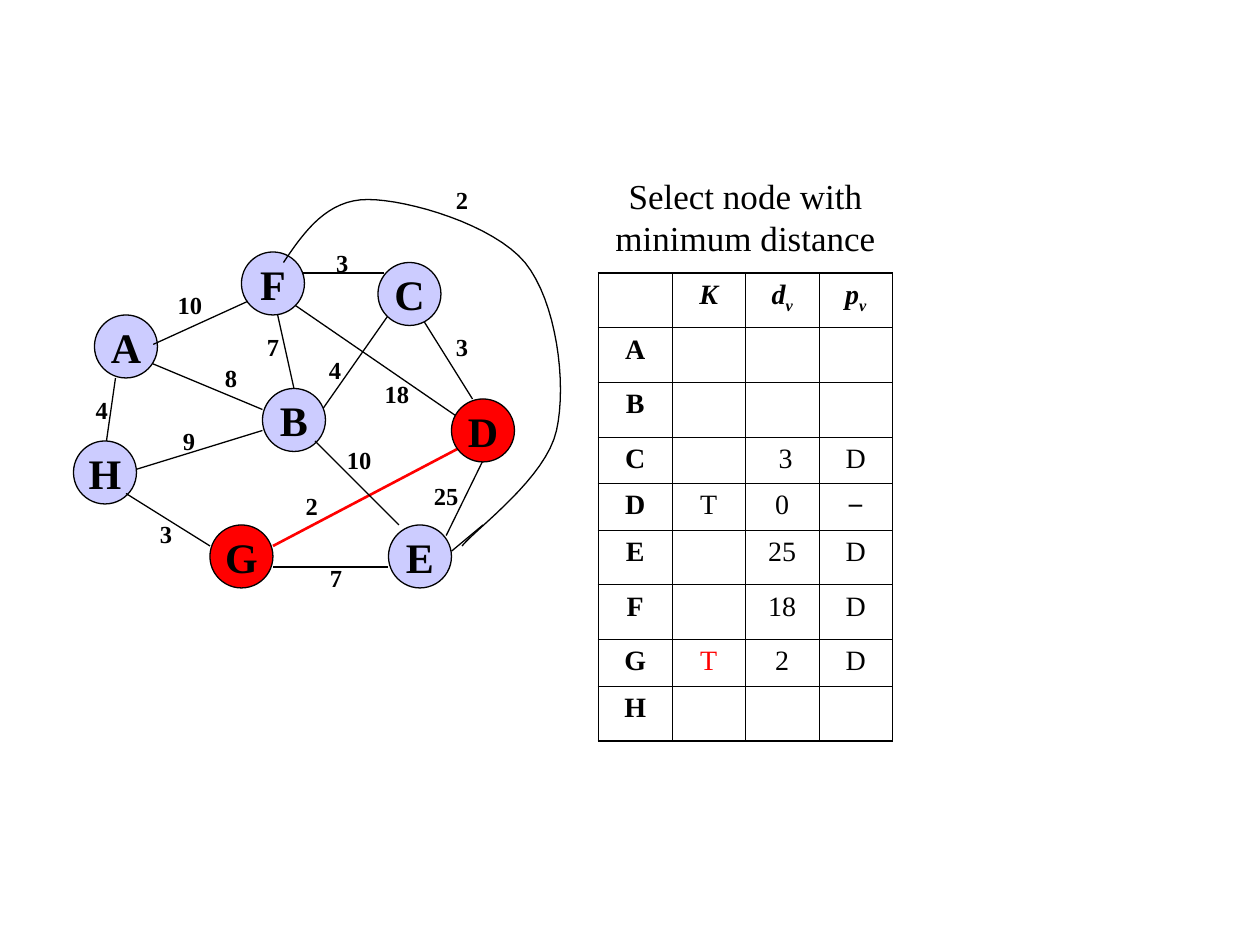
import lxml.etree
import pptx
import pptx.dml.color
import pptx.enum.shapes
import pptx.enum.text
import pptx.oxml.ns
import pptx.util

COLUMNS, ROWS = 120, 90  # slide grid, twelve cells to the inch
UNIT = pptx.util.Inches(10) // COLUMNS
FONT = "Times New Roman"
BLACK, RED, LILAC = "000000", "FF0000", "CCCCFF"
NODE_SIZE = 6

NODES = {"A": (3, 14), "H": (1, 26), "B": (19, 21), "F": (17, 8),
         "E": (31, 34), "D": (37, 22), "C": (30, 9), "G": (14, 34)}
SELECTED = "DG"
EDGES_BEHIND = [
    ((41.4, 25), (36.5, 35)), ((20, 12), (22, 21)), ((24, 24), (31, 14)),
    ((38, 24), (22, 13)), ((6, 29), (19, 25)), ((4, 27), (5, 20)),
    ((7, 18), (19, 23)), ((22.6, 10), (30.6, 10)), ((34, 14), (39, 22))]
CHOSEN_EDGE = ((20, 36), (39, 26))
EDGES_IN_FRONT = [
    ((24, 26), (32, 34)), ((31, 38), (20, 38)), ((14, 36), (6, 31)),
    ((8.6, 16.8), (17.6, 12.7)), ((40, 34), (37, 36.5))]
WEIGHTS = [
    ("4", 1.7, 21), ("25", 33.4, 29.2), ("7", 24, 37), ("2", 21.7, 30.2),
    ("10", 25.1, 25.8), ("18", 28.7, 19.5), ("3", 36, 15), ("4", 23.9, 17.2),
    ("3", 24.6, 7), ("7", 18, 15), ("8", 14, 18), ("9", 10, 24),
    ("3", 7.8, 32.8), ("10", 9, 11), ("2", 36, 1)]
ARC_START = (21, 9)
ARC_CURVES = [
    ((23, 6), (25.2, 3), (29, 3)), ((32.9, 3), (41, 5.4), (44, 9)),
    ((47, 12.7), (48, 20.5), (47, 25)), ((46, 29.5), (39.5, 34.2), (38, 36))]

HEADER = ["", "K", "dv", "pv"]
DISTANCES = [
    ["A", "", "", ""], ["B", "", "", ""], ["C", "", " 3", "D"],
    ["D", "T", "0", "−"], ["E", "", "25", "D"], ["F", "", "18", "D"],
    ["G", "T", "2", "D"], ["H", "", "", ""]]
SHORT_ROWS = (3, 4, 7)


def color(value):
    return pptx.dml.color.RGBColor.from_string(value)


def grid(*values):
    return [round(value * UNIT) for value in values]


def format_paragraph(paragraph, size, space, bold=False, italic=False,
                     font=FONT, text_color=BLACK):
    paragraph.alignment = pptx.enum.text.PP_ALIGN.CENTER
    paragraph.space_before = pptx.util.Pt(space)
    paragraph.font.name = font
    paragraph.font.size = pptx.util.Pt(size)
    paragraph.font.bold = bold
    paragraph.font.italic = italic
    paragraph.font.color.rgb = color(text_color)


def add_text(slide, text, box, size, space, bold=False):
    frame = slide.shapes.add_textbox(*grid(*box)).text_frame
    frame.word_wrap = True
    frame.text = text
    format_paragraph(frame.paragraphs[0], size, space, bold)


def add_edge(slide, box, edge, line_color=BLACK, width=0.75):
    left, top = box[:2]
    (x1, y1), (x2, y2) = edge
    connector = slide.shapes.add_connector(
        pptx.enum.shapes.MSO_CONNECTOR.STRAIGHT,
        *grid(left + x1, top + y1, left + x2, top + y2))
    connector.line.color.rgb = color(line_color)
    connector.line.width = pptx.util.Pt(width)
    lxml.etree.SubElement(connector._element.spPr,
                          pptx.oxml.ns.qn("a:effectLst"))


def add_node(slide, box, name):
    x, y = NODES[name]
    node = slide.shapes.add_shape(
        pptx.enum.shapes.MSO_SHAPE.OVAL,
        *grid(box[0] + x, box[1] + y, NODE_SIZE, NODE_SIZE))
    node.shadow.inherit = False
    node.fill.solid()
    node.fill.fore_color.rgb = color(RED if name in SELECTED else LILAC)
    node.line.color.rgb = color(BLACK)
    node.line.width = pptx.util.Pt(0.75)
    frame = node.text_frame
    frame.word_wrap = False
    frame.vertical_anchor = pptx.enum.text.MSO_ANCHOR.MIDDLE
    frame.text = name
    format_paragraph(frame.paragraphs[0], 24, 6, bold=True)


def arc_points(steps=16):
    """Sample the chain of cubic curves that joins F to E."""
    points = [ARC_START]
    for control1, control2, end in ARC_CURVES:
        start = points[-1]
        for step in range(1, steps + 1):
            t = step / steps
            points.append(tuple(
                (1 - t) ** 3 * a + 3 * (1 - t) ** 2 * t * b
                + 3 * (1 - t) * t ** 2 * c + t ** 3 * d
                for a, b, c, d in zip(start, control1, control2, end)))
    return points


def add_arc(slide, box):
    points = [grid(box[0] + x, box[1] + y) for x, y in arc_points()]
    builder = slide.shapes.build_freeform(*points[0])
    builder.add_line_segments(points[1:], close=False)
    arc = builder.convert_to_shape()
    arc.shadow.inherit = False
    arc.fill.background()
    arc.line.color.rgb = color(BLACK)
    arc.line.width = pptx.util.Pt(0.75)


def add_graph(slide, box):
    for edge in EDGES_BEHIND:
        add_edge(slide, box, edge)
    add_edge(slide, box, CHOSEN_EDGE, RED, 1.5)
    for name in NODES:
        add_node(slide, box, name)
    for edge in EDGES_IN_FRONT:
        add_edge(slide, box, edge)
    add_arc(slide, box)
    for weight, x, y in WEIGHTS:
        width = 4 if len(weight) == 1 else 6.2
        add_text(slide, weight, (box[0] + x, box[1] + y, width, 4.08), 14, 8.8, bold=True)


def set_borders(cell, outer_sides):
    properties = cell._tc.get_or_add_tcPr()
    for side in "LRTB":
        width = pptx.util.Pt(1.08 if side in outer_sides else 0.45)
        line = lxml.etree.SubElement(
            properties, pptx.oxml.ns.qn(f"a:ln{side}"), w=str(int(width)))
        fill = lxml.etree.SubElement(line, pptx.oxml.ns.qn("a:solidFill"))
        lxml.etree.SubElement(fill, pptx.oxml.ns.qn("a:srgbClr"), val=BLACK)


def fill_cell(cell, text, row, column):
    if not text:
        cell.margin_top = cell.margin_bottom = 0
        return
    paragraph = cell.text_frame.paragraphs[0]
    if row == 0:
        paragraph.add_run().text = text[0]
        if text[1:]:
            subscript = paragraph.add_run()
            subscript.text = text[1:]
            subscript._r.get_or_add_rPr().set("baseline", "-25000")
    else:
        paragraph.add_run().text = text
    newly_known = (DISTANCES[row - 1][0], column) == ("G", 1) and row > 0
    format_paragraph(paragraph, 16, 4, bold=row == 0 or column == 0,
                     italic=row == 0, font="Arial" if text == "−" else FONT,
                     text_color=RED if newly_known else BLACK)


def add_distance_table(slide, box):
    left, top, width, height = box
    add_text(slide, "Select node with minimum distance",
             (left, top, width, 9.24), 20, 12.5)
    rows = [HEADER] + DISTANCES
    table = slide.shapes.add_table(
        len(rows), len(HEADER),
        *grid(left + 5, top + 10, 7 * len(HEADER), height - 10)).table
    table.first_row = table.horz_banding = False
    for column in table.columns:
        column.width = grid(7)[0]
    last_row, last_column = len(rows) - 1, len(HEADER) - 1
    for r, values in enumerate(rows):
        table.rows[r].height = grid(4.42 if r in SHORT_ROWS else 5.22)[0]
        for c, text in enumerate(values):
            cell = table.cell(r, c)
            outer = {"T": r == 0, "B": r == last_row,
                     "L": c == 0, "R": c == last_column}
            set_borders(cell, [side for side in outer if outer[side]])
            cell.fill.background()
            fill_cell(cell, text, r, c)


def main():
    presentation = pptx.Presentation()
    presentation.slide_width, presentation.slide_height = grid(COLUMNS, ROWS)
    slide = presentation.slides.add_slide(presentation.slide_layouts[6])
    add_graph(slide, (6, 16, 48, 41))
    add_distance_table(slide, (52, 16, 38, 54.6))
    presentation.save("out.pptx")


if __name__ == "__main__":
    main()
